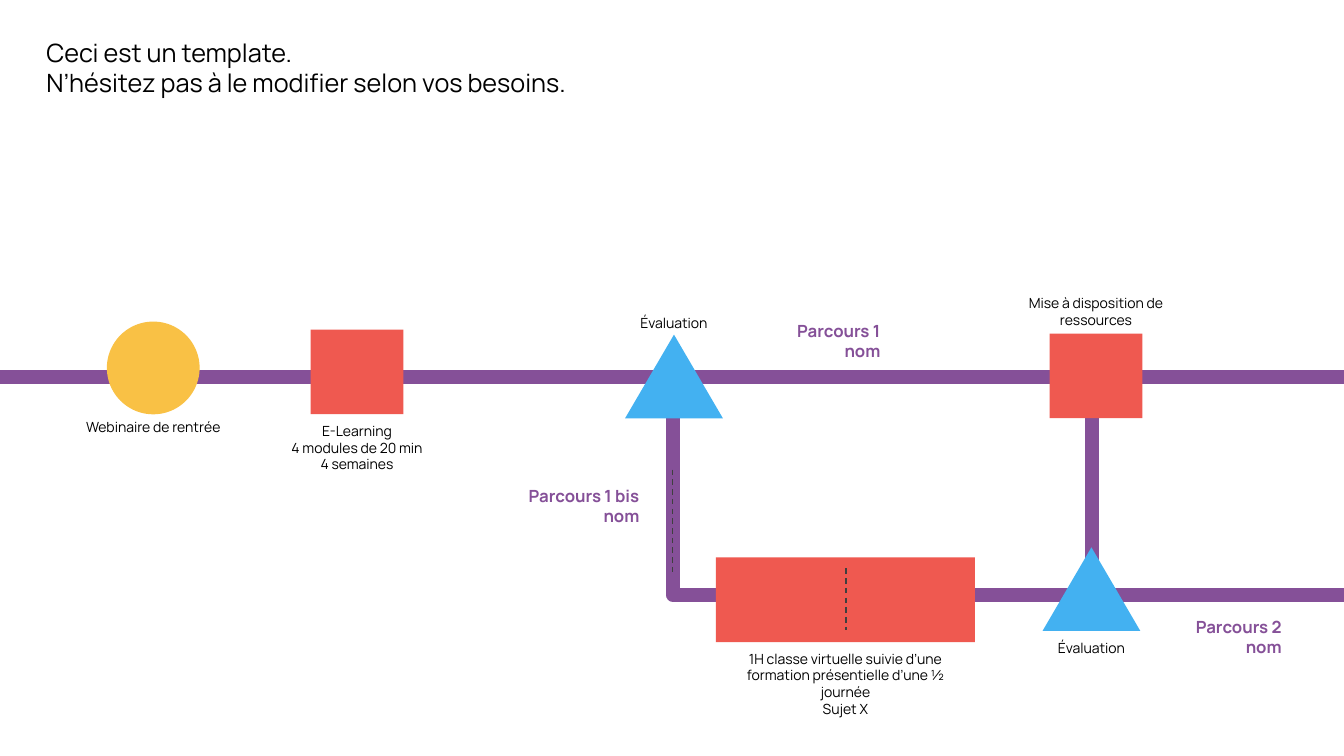
from dataclasses import dataclass

from lxml.etree import SubElement
from pptx import Presentation
from pptx.dml.color import RGBColor
from pptx.enum.dml import MSO_LINE
from pptx.enum.shapes import MSO_CONNECTOR, MSO_SHAPE
from pptx.enum.text import MSO_ANCHOR, MSO_AUTO_SIZE, PP_ALIGN
from pptx.oxml.ns import qn
from pptx.util import Inches, Pt


@dataclass(frozen=True)
class Theme:
    font: str = "Manrope"
    black: str = "000000"
    purple: str = "855098"
    red: str = "EF5950"
    blue: str = "43B1F1"
    yellow: str = "F9C145"
    dash: str = "3F3F3F"
    title_size: int = 18
    route_size: int = 12
    step_size: int = 10
    track_width: int = 10
    dash_width: int = 1


THEME = Theme()
STEP_WIDTH = 1.95
TRACK_Y = 3.74
BRANCH_X = 6.67
BRANCH_Y = 5.9


def color(value):
    return RGBColor.from_string(value)


def write_text(box, text, size, align, ink=THEME.black, bold=False):
    frame = box.text_frame
    frame.word_wrap = True
    frame.auto_size = MSO_AUTO_SIZE.SHAPE_TO_FIT_TEXT
    frame.vertical_anchor = MSO_ANCHOR.TOP
    frame.text = text
    for para in frame.paragraphs:
        para.alignment = align
        para.font.name = THEME.font
        para.font.size = Pt(size)
        para.font.bold = bold
        para.font.color.rgb = color(ink)


def add_title(page, text):
    title = page.shapes.title
    title.left, title.top = Inches(0.36), Inches(0.32)
    title.width, title.height = Inches(6.61), Inches(0.71)
    write_text(title, text, THEME.title_size, PP_ALIGN.LEFT)


def add_line(shapes, start, end, ink, width, kind=MSO_CONNECTOR.STRAIGHT):
    line = shapes.add_connector(kind, *(Inches(value) for value in (*start, *end)))
    line.line.color.rgb = color(ink)
    line.line.width = Pt(width)
    SubElement(line._element.spPr, qn("a:effectLst"))
    return line


def add_track(page, start, end):
    add_line(page.shapes, start, end, THEME.purple, THEME.track_width)


def add_branch(page, start, end, bend_x):
    branch = add_line(page.shapes, start, end, THEME.purple, THEME.track_width, MSO_CONNECTOR.ELBOW)
    guides = branch._element.spPr.find(qn("a:prstGeom")).get_or_add_avLst()
    ratio = (bend_x - start[0]) / (end[0] - start[0])
    SubElement(guides, qn("a:gd"), name="adj1", fmla=f"val {round(ratio * 100000)}")


def add_dash(shapes, x, top, bottom):
    dash = add_line(shapes, (x, top), (x, bottom), THEME.dash, THEME.dash_width)
    dash.line.dash_style = MSO_LINE.DASH


def add_route_name(page, left, top, text):
    box = page.shapes.add_textbox(Inches(left), Inches(top), Inches(1.55), Inches(0.5))
    write_text(box, text, THEME.route_size, PP_ALIGN.RIGHT, THEME.purple, bold=True)


def add_step(page, kind, fill, bounds, label, label_top, label_height, label_width=STEP_WIDTH):
    left, top, width, height = bounds
    group = page.shapes.add_group_shape()
    marker = group.shapes.add_shape(kind, *(Inches(value) for value in bounds))
    marker.shadow.inherit = False
    marker.fill.solid()
    marker.fill.fore_color.rgb = color(fill)
    marker.line.fill.background()
    label_left = left + (width - label_width) / 2
    box = group.shapes.add_textbox(
        Inches(label_left), Inches(label_top), Inches(label_width), Inches(label_height))
    write_text(box, label, THEME.step_size, PP_ALIGN.CENTER)
    return group


def add_evaluation(page, left, top, label_top):
    add_step(page, MSO_SHAPE.ISOSCELES_TRIANGLE, THEME.blue, (left, top, 0.97, 0.83),
             "Évaluation", label_top, 0.27)


def add_module(page, left, top, label, label_top, label_height):
    add_step(page, MSO_SHAPE.RECTANGLE, THEME.red, (left, top, 0.92, 0.84),
             label, label_top, label_height)


def add_class(page):
    group = add_step(
        page, MSO_SHAPE.RECTANGLE, THEME.red, (7.1, 5.53, 2.57, 0.84),
        "1H classe virtuelle suivie d’une formation présentielle d’une ½ journée\nSujet X",
        6.4, 0.77, 2.57)
    add_dash(group.shapes, 8.39, 5.64, 6.25)


def main():
    deck = Presentation()
    deck.slide_width, deck.slide_height = Inches(13.33), Inches(7.5)
    page = deck.slides.add_slide(deck.slide_layouts[5])
    add_title(page, "Ceci est un template.\nN’hésitez pas à le modifier selon vos besoins.")

    add_track(page, (0, TRACK_Y), (13.33, TRACK_Y))
    add_branch(page, (5.27, TRACK_Y), (13.33, BRANCH_Y), BRANCH_X)
    add_dash(page.shapes, BRANCH_X, 4.66, 5.67)
    add_evaluation(page, 6.2, 3.32, 3.07)
    add_route_name(page, 4.89, 4.77, "Parcours 1 bis\nnom")
    add_route_name(page, 7.28, 3.13, "Parcours 1\nnom")

    add_track(page, (10.83, 3.75), (10.83, 5.97))
    add_evaluation(page, 10.34, 5.43, 6.3)
    add_route_name(page, 11.26, 6.07, "Parcours 2\nnom")

    add_module(page, 3.08, 3.27, "E-Learning\n4 modules de 20 min\v4 semaines", 4.14, 0.61)
    add_step(page, MSO_SHAPE.OVAL, THEME.yellow, (1.06, 3.19, 0.92, 0.92),
             "Webinaire de rentrée", 4.1, 0.27)
    add_module(page, 10.41, 3.31, "Mise à disposition de ressources", 2.87, 0.44)
    add_class(page)
    deck.save("out.pptx")


if __name__ == "__main__":
    main()
